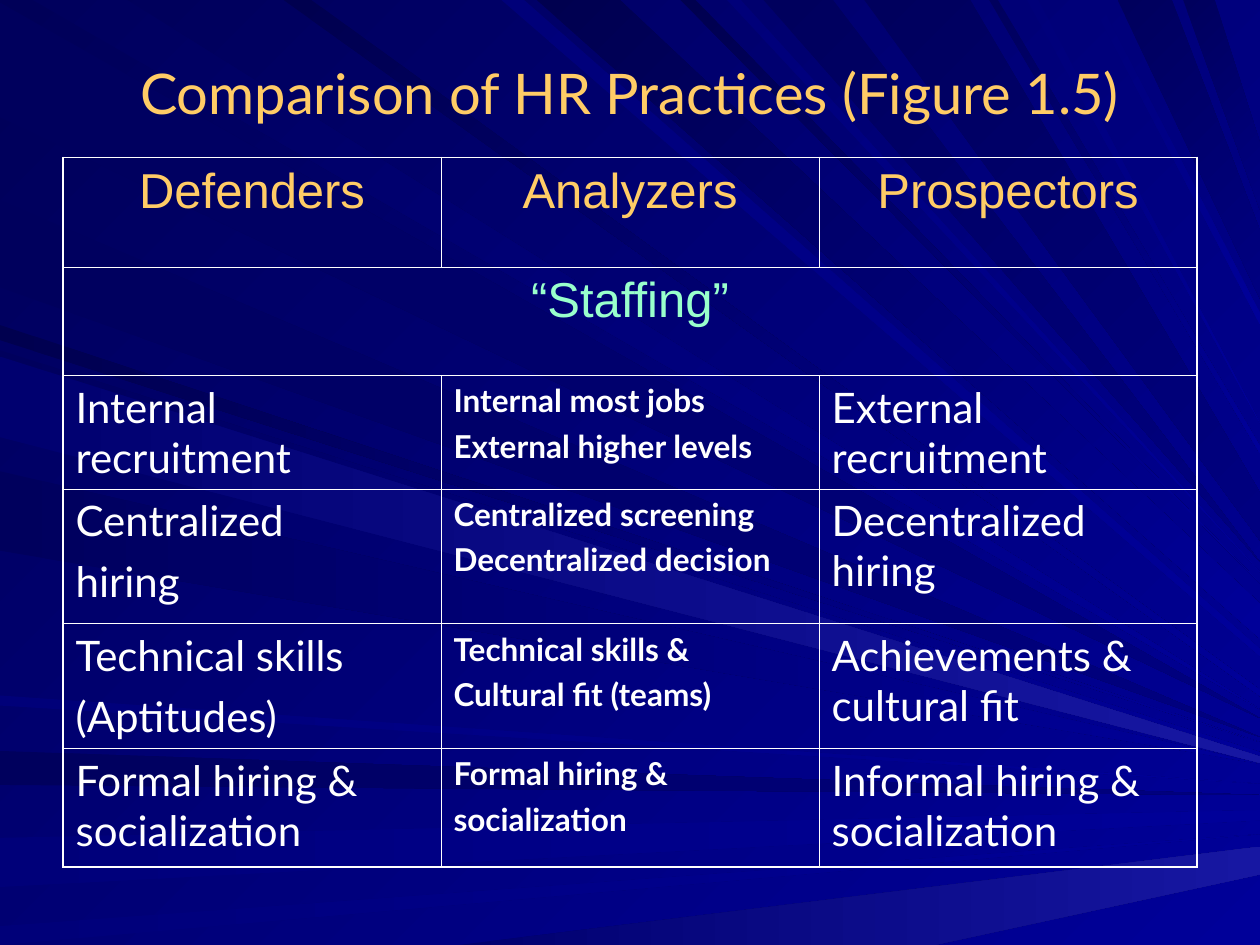
from dataclasses import dataclass

from lxml import etree
from pptx import Presentation
from pptx import util as u
from pptx.dml.color import RGBColor
from pptx.enum import text
from pptx.oxml import ns


@dataclass(frozen=True)
class Theme:
    bg_dark: str = "000058"
    bg_light: str = "000099"
    gold: str = "FFCC66"
    mint: str = "99FFCC"
    white: str = "FFFFFF"
    deep: tuple = ("00004F", "000099")
    mid: tuple = ("00005D", "000099")
    soft: tuple = ("000079", "000099")
    dim: tuple = ("00005D", "000080")
    glow: tuple = ("00006F", "1717A2")
    body_font: str = "Lato"
    head_font: str = "Arial"
    title_size: float = 32
    head_size: float = 28
    body_size: float = 24
    small_size: float = 18
    outer_line: float = 1.08
    inner_line: float = 0.45


THEME = Theme()

RAYS = [
    ("left", 0.02, 0.93, 5.7, 0, THEME.dim),
    ("top", 0.26, 1.01, 5.63, 0, THEME.mid),
    ("left", 5.96, 6.23, 6.31, 0, THEME.dim),
    ("left", 6.65, 7.04, 6.47, 0.08, THEME.soft),
    ("left", 7.35, 7.5, 6.62, 0, THEME.soft),
    ("bottom", 3.64, 7.42, 6.83, 0.22, THEME.glow),
    ("left", 2.58, 2.7, 5.89, 0, THEME.deep),
    ("left", 1.59, 2.28, 5.85, 0, THEME.dim),
    ("top", 3.98, 4.16, 5.18, 0.06, THEME.soft),
    ("top", 4.26, 4.92, 4.93, 0.28, THEME.deep),
    ("top", 5.4, 5.52, 4.63, 0, THEME.deep),
    ("top", 6.06, 6.61, 4.46, 0, THEME.dim),
    ("top", 8.87, 9.3, 2.1, 0.54, THEME.dim),
    ("top", 9.39, 9.64, 1.4, 0.53, THEME.dim),
    ("left", 2.78, 3.42, 6, 0.06, THEME.mid),
    ("left", 3.74, 4.37, 6.06, 0, THEME.mid),
    ("left", 5.52, 5.6, 6.22, 0, THEME.soft),
    ("top", 2.25, 2.47, 5.5, 0.05, THEME.deep),
    ("top", 5.77, 5.88, 4.54, 0, THEME.soft),
    ("top", 6.86, 7.7, 4.1, 0.38, THEME.dim),
    ("top", 7.85, 7.92, 3.57, 0.06, THEME.mid),
    ("top", 8.15, 8.24, 3.36, 0, THEME.soft),
    ("top", 8.65, 8.72, 2.53, 0.09, THEME.soft),
    ("left", 2.83, 3.47, 6.03, 0.05, THEME.glow),
]

HEADINGS = ["Defenders", "Analyzers", "Prospectors"]
SECTION = "“Staffing”"
PRACTICES = [
    ["Internal recruitment", "Internal most jobs\nExternal higher levels", "External recruitment"],
    ["Centralized\nhiring", "Centralized screening\nDecentralized decision", "Decentralized hiring"],
    ["Technical skills\n(Aptitudes)", "Technical skills &\nCultural fit (teams)", "Achievements & cultural fit"],
    ["Formal hiring & socialization", "Formal hiring &\nsocialization", "Informal hiring & socialization"],
]
ROW_HEIGHTS = [0.87, 0.86, 0.9, 1.07, 0.99, 0.94]


def set_gradient(fill, colors, angle):
    fill.gradient()
    fill.gradient_angle = 360 - angle
    for stop, color in zip(fill.gradient_stops, colors):
        stop.color.rgb = RGBColor.from_string(color)


def style_paragraph(p, font, size, color, bold=False):
    p.font.name = font
    p.font.size = u.Pt(size)
    p.font.bold = bold
    p.font.color.rgb = RGBColor.from_string(color)


def add_background(s, left, top, width, height):
    set_gradient(s.background.fill, (THEME.bg_dark, THEME.bg_light), 45)
    rays = s.shapes.add_group_shape()
    for side, near, far, end, spread, colors in RAYS:
        near, far, end, half = (u.Inches(n) for n in (near, far, end, spread / 2))
        if side == "left":
            start = [(left, top + far), (left, top + near)]
        else:
            edge = top if side == "top" else top + height
            start = [(left + near, edge), (left + far, edge)]
        right = left + width
        tips = [(right, top + end - half), (right, top + end + half)]
        if side == "bottom":
            tips.reverse()
        builder = rays.shapes.build_freeform(*start[0])
        builder.add_line_segments(start[1:] + tips, close=True)
        sp = builder.convert_to_shape()
        sp.shadow.inherit = False
        sp.line.fill.background()
        set_gradient(sp.fill, colors, 45 if side == "top" else 0)
    s.shapes._spTree.insert(2, rays._element)


def add_title(s, left, top, width, height):
    sp = s.shapes.title
    sp.left, sp.top, sp.width, sp.height = left, top, width, height
    tf = sp.text_frame
    tf.text = "Comparison of HR Practices (Figure 1.5)"
    tf.vertical_anchor = text.MSO_ANCHOR.MIDDLE
    p = tf.paragraphs[0]
    p.alignment = text.PP_ALIGN.CENTER
    style_paragraph(p, THEME.body_font, THEME.title_size, THEME.gold)


def set_borders(cell, outer_edges):
    tc_pr = cell._tc.get_or_add_tcPr()
    for i, (edge, outer) in enumerate(zip("LRTB", outer_edges)):
        width = u.Pt(THEME.outer_line if outer else THEME.inner_line)
        ln = etree.Element(ns.qn(f"a:ln{edge}"), w=str(width))
        fill = etree.SubElement(ln, ns.qn("a:solidFill"))
        etree.SubElement(fill, ns.qn("a:srgbClr"), val=THEME.white)
        tc_pr.insert(i, ln)


def fill_cell(cell, words, font, size, color, bold=False, gap=0, align=text.PP_ALIGN.LEFT):
    cell.text = words
    for i, p in enumerate(cell.text_frame.paragraphs):
        p.alignment = align
        if i:
            p.space_before = u.Pt(gap)
        style_paragraph(p, font, size, color, bold)


def add_practices_table(s, left, top, width, height):
    rows, cols = len(ROW_HEIGHTS), len(HEADINGS)
    table = s.shapes.add_table(rows, cols, left, top, width, height).table
    table.first_row = table.horz_banding = False
    for row, row_height in zip(table.rows, ROW_HEIGHTS):
        row.height = u.Inches(row_height)
    table.cell(1, 0).merge(table.cell(1, cols - 1))

    center = text.PP_ALIGN.CENTER
    for c, heading in enumerate(HEADINGS):
        fill_cell(table.cell(0, c), heading, THEME.head_font, THEME.head_size, THEME.gold, align=center)
    fill_cell(table.cell(1, 0), SECTION, THEME.head_font, THEME.head_size, THEME.mint, align=center)
    for r, practices in enumerate(PRACTICES, start=2):
        for c, words in enumerate(practices):
            small = c == 1
            size = THEME.small_size if small else THEME.body_size
            fill_cell(table.cell(r, c), words, THEME.body_font, size, THEME.white, small, size / 4)

    for r in range(rows):
        for c in range(cols):
            cell = table.cell(r, c)
            cell.fill.background()
            if not cell.is_spanned:
                at_right = cell.is_merge_origin or c == cols - 1
                set_borders(cell, (c == 0, at_right, r == 0, r == rows - 1))


def main():
    prs = Presentation()
    prs.slide_width, prs.slide_height = u.Inches(10), u.Inches(7.5)
    s = prs.slides.add_slide(prs.slide_layouts[5])
    add_background(s, 0, 0, prs.slide_width, prs.slide_height)
    add_title(s, u.Inches(0.5), u.Inches(0.3), u.Inches(9), u.Inches(0.86))
    add_practices_table(s, u.Inches(0.5), u.Inches(1.25), u.Inches(9), u.Inches(5.63))
    prs.save("out.pptx")


if __name__ == "__main__":
    main()
